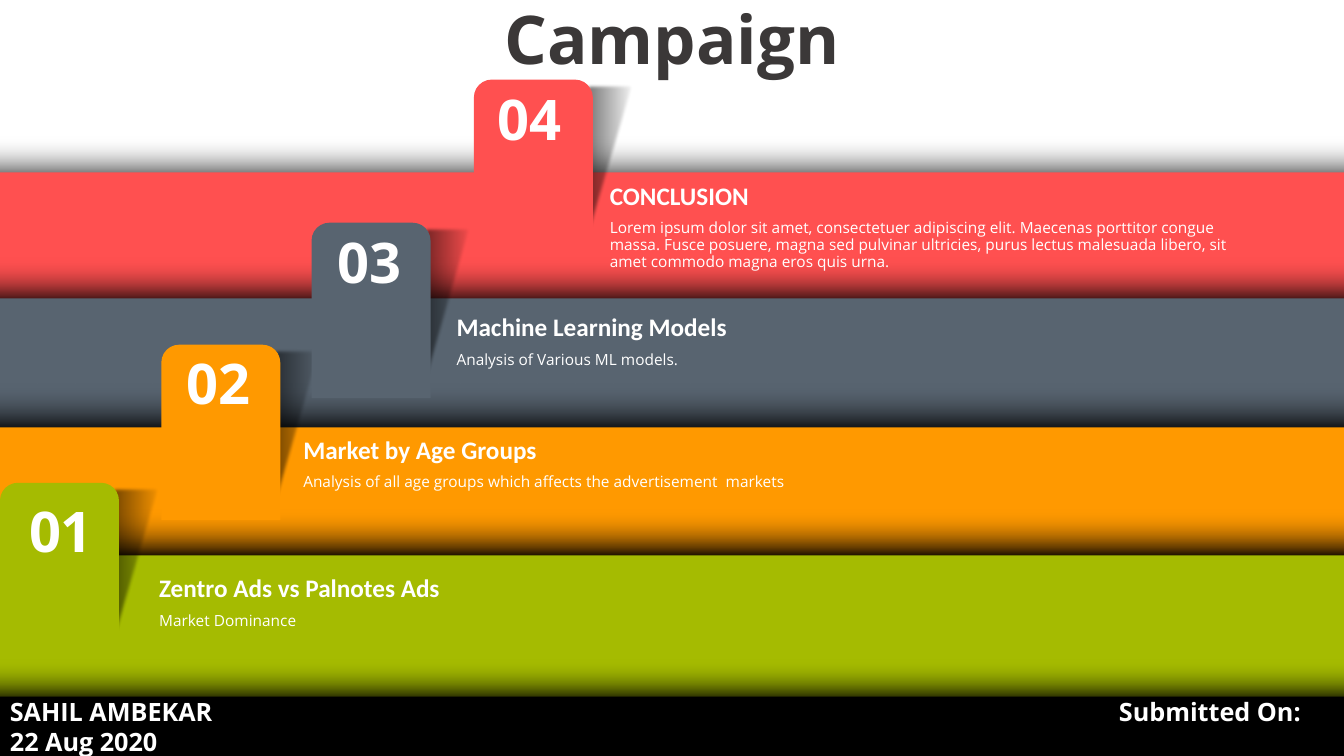
from lxml import etree
from pptx import Presentation
from pptx.dml.color import RGBColor
from pptx.enum.shapes import MSO_SHAPE
from pptx.enum.text import MSO_ANCHOR, PP_ALIGN
from pptx.oxml.ns import qn
from pptx.util import Inches, Pt

RECT = MSO_SHAPE.RECTANGLE
ROUND = MSO_SHAPE.ROUND_2_SAME_RECTANGLE
WEDGE = MSO_SHAPE.RIGHT_TRIANGLE
LEFT, CENTER = PP_ALIGN.LEFT, PP_ALIGN.CENTER
MIDDLE = MSO_ANCHOR.MIDDLE

WHITE = RGBColor(0xFF, 0xFF, 0xFF)
BLACK = RGBColor(0, 0, 0)
INK = RGBColor(0x3B, 0x38, 0x38)
RED = RGBColor(0xFF, 0x50, 0x50)
SLATE = RGBColor(0x58, 0x64, 0x70)
ORANGE = RGBColor(0xFF, 0x99, 0x00)
GREEN = RGBColor(0xA5, 0xBB, 0x01)
SANS, HEAD = "Open Sans", "Calibri"
WIDE, HIGH = 13.33, 7.5

# Colour, top, height, top and height of the shade that falls above
BANDS = [
    (RED, 1.71, 1.99, 1.35, 0.48),
    (SLATE, 2.96, 1.99, 2.55, 0.48),
    (ORANGE, 4.24, 1.99, 3.81, 0.48),
    (GREEN, 5.51, 1.99, 5.05, 0.48),
    (BLACK, 6.91, 0.59, 6.54, 0.43),
]
# Number, colour, left and top of the tab, offset of the number
TABS = [
    ("01", GREEN, 0, 4.79, 0.05, 0.09),
    ("02", ORANGE, 1.6, 3.42, 0.01, -0.01),
    ("03", SLATE, 3.09, 2.21, 0.02, 0),
    ("04", RED, 4.7, 0.79, 0, 0),
]
# Left, top, heading, detail
NOTES = [
    (1.48, 5.63, "Zentro Ads vs Palnotes Ads", "Market Dominance"),
    (2.91, 4.26, "Market by Age Groups",
     "Analysis of all age groups which affects the advertisement  markets"),
    (4.43, 3.04, "Machine Learning Models", "Analysis of Various ML models."),
    (5.95, 1.74, "CONCLUSION",
     "Lorem ipsum dolor sit amet, consectetuer adipiscing elit. Maecenas "
     "porttitor congue massa. Fusce posuere, magna sed pulvinar ultricies, "
     "purus lectus malesuada libero, sit amet commodo magna eros quis urna."),
]


def add_form(slide, kind, box, color=None):
    form = slide.shapes.add_shape(kind, *map(Inches, box))
    form.shadow.inherit = False
    form.line.fill.background()
    if color is not None:
        form.fill.solid()
        form.fill.fore_color.rgb = color
    return form


def fade(form, start, alpha, angle):
    """Run from a clear start colour to black with the given opacity."""
    form.fill.gradient()
    form.fill.gradient_angle = angle
    ends = ((start, 0, 0), (BLACK, alpha, 1))
    for stop, (color, part, pos) in zip(form.fill.gradient_stops, ends):
        stop.color.rgb = color
        stop.position = pos
    tints = form._element.spPr.iter(qn("a:srgbClr"))
    for tint, (_, part, _) in zip(tints, ends):
        etree.SubElement(tint, qn("a:alpha")).set("val", str(part * 1000))


def style(frame, text, size, font, color, bold=False, align=LEFT):
    frame.word_wrap = True
    para = frame.paragraphs[0]
    para.text = text
    para.alignment = align
    for run in para.runs:
        run.font.size = Pt(size)
        run.font.name = font
        run.font.bold = bold
        run.font.color.rgb = color
    return para


def add_text(slide, box, *look, **more):
    field = slide.shapes.add_textbox(*map(Inches, box))
    return style(field.text_frame, *look, **more)


def add_bands(slide):
    above = WHITE
    for color, top, high, dim, deep in BANDS:
        shade = add_form(slide, RECT, (0, dim, WIDE, deep))
        fade(shade, above, 91 if above == WHITE else 100, 270)
        band = add_form(slide, RECT, (0, top, WIDE, high), color)
        above = color
    return band


def add_footer(band):
    band.text_frame.vertical_anchor = MIDDLE
    para = style(band.text_frame, "SAHIL AMBEKAR\tSubmitted On:\v22 Aug 2020",
                 18, SANS, WHITE, bold=True)
    # Tab stop for the right-hand label
    stops = etree.SubElement(para._p.get_or_add_pPr(), qn("a:tabLst"))
    stop = etree.SubElement(stops, qn("a:tab"))
    stop.set("pos", str(Inches(11)))
    stop.set("algn", "l")


def add_tab(slide, num, color, left, top, dx, dy):
    # Soft wedge behind the tab
    wedge = add_form(slide, WEDGE, (left + 1.11, top + 0.04, 0.5, 1.74))
    fade(wedge, BLACK, 56, 180)
    props = wedge._element.spPr
    props.find(qn("a:xfrm")).set("flipV", "1")
    soft = etree.SubElement(props.find(qn("a:effectLst")), qn("a:softEdge"))
    soft.set("rad", str(Pt(2.5)))
    # Tab and its number
    tab = add_form(slide, ROUND, (left, top, 1.18, 1.74), color)
    tab.adjustments[0] = 0.15
    add_text(slide, (left + dx, top + dy, 1.11, 0.86), num, 40, SANS, WHITE,
             bold=True, align=CENTER)


def add_note(slide, left, top, head, detail):
    add_text(slide, (left, top, 3.33, 0.4), head, 18, HEAD, WHITE, bold=True)
    para = add_text(slide, (left, top + 0.4, 6.63, 0.47), detail, 11, SANS,
                    WHITE)
    para.line_spacing = 0.9


deck = Presentation()
deck.slide_width, deck.slide_height = Inches(WIDE), Inches(HIGH)
slide = deck.slides.add_slide(deck.slide_layouts[6])
add_footer(add_bands(slide))
add_text(slide, (0, -0.08, WIDE, 1), "Campaign", 48, SANS, INK, bold=True,
         align=CENTER)
for tab in TABS:
    add_tab(slide, *tab)
for note in NOTES:
    add_note(slide, *note)
deck.save("out.pptx")
